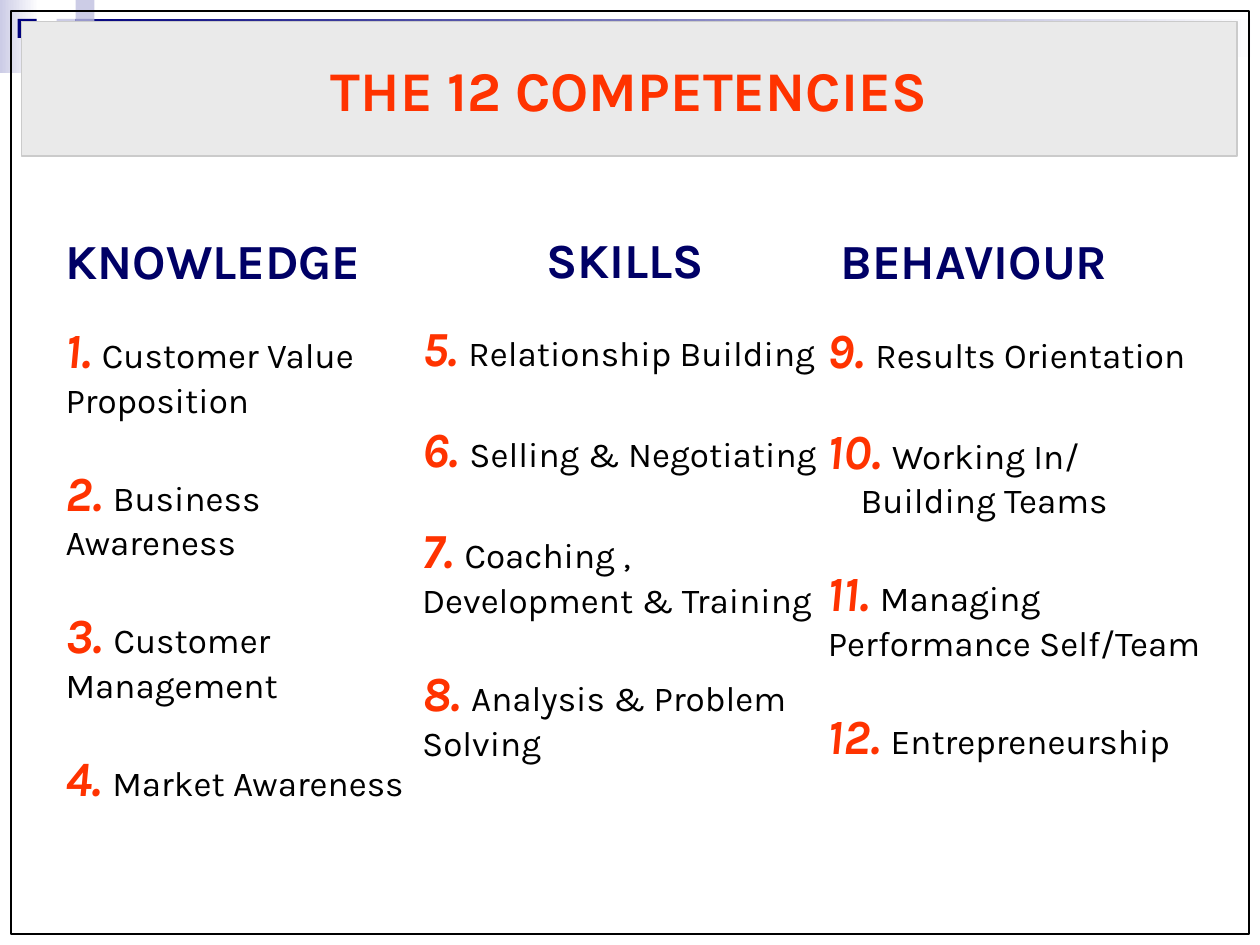
from itertools import count

from lxml import etree
from pptx import Presentation
from pptx.dml.color import RGBColor
from pptx.enum.shapes import MSO_SHAPE
from pptx.enum.text import MSO_ANCHOR, MSO_AUTO_SIZE, PP_ALIGN
from pptx.oxml.ns import qn
from pptx.util import Inches, Pt

RECTANGLE = MSO_SHAPE.RECTANGLE
LEFT, CENTER = PP_ALIGN.LEFT, PP_ALIGN.CENTER
TOP, MIDDLE = MSO_ANCHOR.TOP, MSO_ANCHOR.MIDDLE
NO_AUTOFIT = MSO_AUTO_SIZE.NONE

# Content: each item is a list of (text, left margin in inches)
TITLE = "THE 12 COMPETENCIES"
COLUMNS = [
    {"heading": "KNOWLEDGE", "align": LEFT, "margin": 0,
     "box": (0.42, 1.78, 3, 5.3),
     "items": [[("Customer Value Proposition", 0)],
               [("Business Awareness", 0)],
               [("Customer Management", 0)],
               [("Market Awareness", 0)]]},
    {"heading": "SKILLS", "align": CENTER, "margin": 0,
     "box": (3.25, 1.77, 3.42, 4.57),
     "items": [[("Relationship Building", 0)],
               [("Selling & Negotiating", 0)],
               [("Coaching , Development & Training", 0)],
               [("Analysis & Problem Solving", 0)]]},
    {"heading": "BEHAVIOUR", "align": LEFT, "margin": 0.1,
     "box": (6.47, 1.78, 3.28, 4.67),
     "items": [[("Results Orientation", 0)],
               [("Working In/", 0), ("Building Teams", 0.26)],
               [("Managing", 0), ("Performance Self/Team", 0)],
               [("Entrepreneurship", 0)]]},
]

# Theme
THEME = {
    "font": "Karla",
    "navy": "00007D", "violet": "9999CC", "lavender": "CCCCE6",
    "white": "FFFFFF", "black": "000000",
    "panel": "EAEAEA", "panel_line": "CBCBCB",
    "title": {"size": 32, "color": "FF3300", "bold": True, "italic": False},
    "heading": {"size": 28, "color": "000066", "bold": True, "italic": False},
    "number": {"size": 28, "color": "FF3300", "bold": True, "italic": True},
    "item": {"size": 20, "color": "000000", "bold": False, "italic": False},
    "first_gap": 17, "item_gap": 24,
}

# Corner ornament, on a grid of square tiles
TILE = 0.15
ORNAMENT = [
    ((0, 0, 0.31, 0.58), ("white", "lavender")),
    ((3 * TILE, TILE, 10 - 3 * TILE, 2 * TILE), ("white", "navy")),
    ((3 * TILE, TILE, TILE, TILE), ("lavender",)),
    ((4 * TILE, 0, TILE, TILE), ("lavender",)),
    ((4 * TILE, TILE, TILE, TILE), ("violet",)),
    ((0.14, TILE, TILE, TILE), ("navy",)),
]
FRAME_BOX = (0.09, 0.09, 9.82, 7.32)
TITLE_BOX = (0.17, 0.17, 9.65, 1.07)


def rgb(value):
    return RGBColor.from_string(value)


def add_box(slide, box):
    shape = slide.shapes.add_shape(RECTANGLE, *map(Inches, box))
    shape.shadow.inherit = False
    return shape


def set_line(shape, color):
    shape.line.color.rgb = rgb(THEME[color])
    shape.line.width = Pt(1)


def add_run(paragraph, text, style):
    values = dict(THEME[style], name=THEME["font"])
    values["size"] = Pt(values["size"])
    run = paragraph.add_run()
    run.text = text
    run.font.color.rgb = rgb(values.pop("color"))
    for name, value in values.items():
        setattr(run.font, name, value)


def place(shape, box, anchor):
    """Move a placeholder, bring it to the front and return its text frame."""
    for name, value in zip(("left", "top", "width", "height"), box):
        setattr(shape, name, Inches(value))
    tree = shape._element.getparent()
    tree.append(shape._element)
    frame = shape.text_frame
    frame.word_wrap = True
    frame.auto_size = NO_AUTOFIT
    frame.vertical_anchor = anchor
    return frame


def format_paragraph(paragraph, align=LEFT, before=0, margin=0):
    settings = {"alignment": align, "line_spacing": 1.0,
                "space_before": Pt(before), "space_after": Pt(0)}
    for name, value in settings.items():
        setattr(paragraph, name, value)
    properties = paragraph._p.get_or_add_pPr()
    properties.set("marL", str(Inches(margin)))
    properties.set("indent", "0")
    etree.SubElement(properties, qn("a:buNone"))


def fill_column(frame, column, numbers):
    heading = frame.paragraphs[0]
    format_paragraph(heading, column["align"], margin=column["margin"])
    add_run(heading, column["heading"], "heading")
    gap = THEME["first_gap"]
    for lines in column["items"]:
        for position, (text, margin) in enumerate(lines):
            paragraph = frame.add_paragraph()
            format_paragraph(paragraph, LEFT, 0 if position else gap, margin)
            if position == 0:
                add_run(paragraph, f"{next(numbers)}. ", "number")
            add_run(paragraph, text, "item")
        gap = THEME["item_gap"]


def main():
    presentation = Presentation()
    presentation.slide_width, presentation.slide_height = Inches(10), Inches(7.5)
    slide = presentation.slides.add_slide(presentation.slide_layouts[4])
    title, *bodies = list(slide.placeholders)

    # Ornament and frame
    for box, colors in ORNAMENT:
        shape = add_box(slide, box)
        shape.line.fill.background()
        if len(colors) == 1:
            shape.fill.solid()
            shape.fill.fore_color.rgb = rgb(THEME[colors[0]])
        else:
            shape.fill.gradient()
            shape.fill.gradient_angle = 180
            for stop, color in zip(shape.fill.gradient_stops, colors):
                stop.color.rgb = rgb(THEME[color])
    frame = add_box(slide, FRAME_BOX)
    frame.fill.background()
    set_line(frame, "black")

    # Title panel
    title_frame = place(title, TITLE_BOX, MIDDLE)
    title.fill.solid()
    title.fill.fore_color.rgb = rgb(THEME["panel"])
    set_line(title, "panel_line")
    format_paragraph(title_frame.paragraphs[0], CENTER)
    add_run(title_frame.paragraphs[0], TITLE, "title")

    # Competency columns, numbered straight through
    numbers = count(1)
    for body, column in zip(bodies, COLUMNS):
        fill_column(place(body, column["box"], TOP), column, numbers)
    for unused in bodies[len(COLUMNS):]:
        unused._element.getparent().remove(unused._element)

    presentation.save("out.pptx")


if __name__ == "__main__":
    main()
